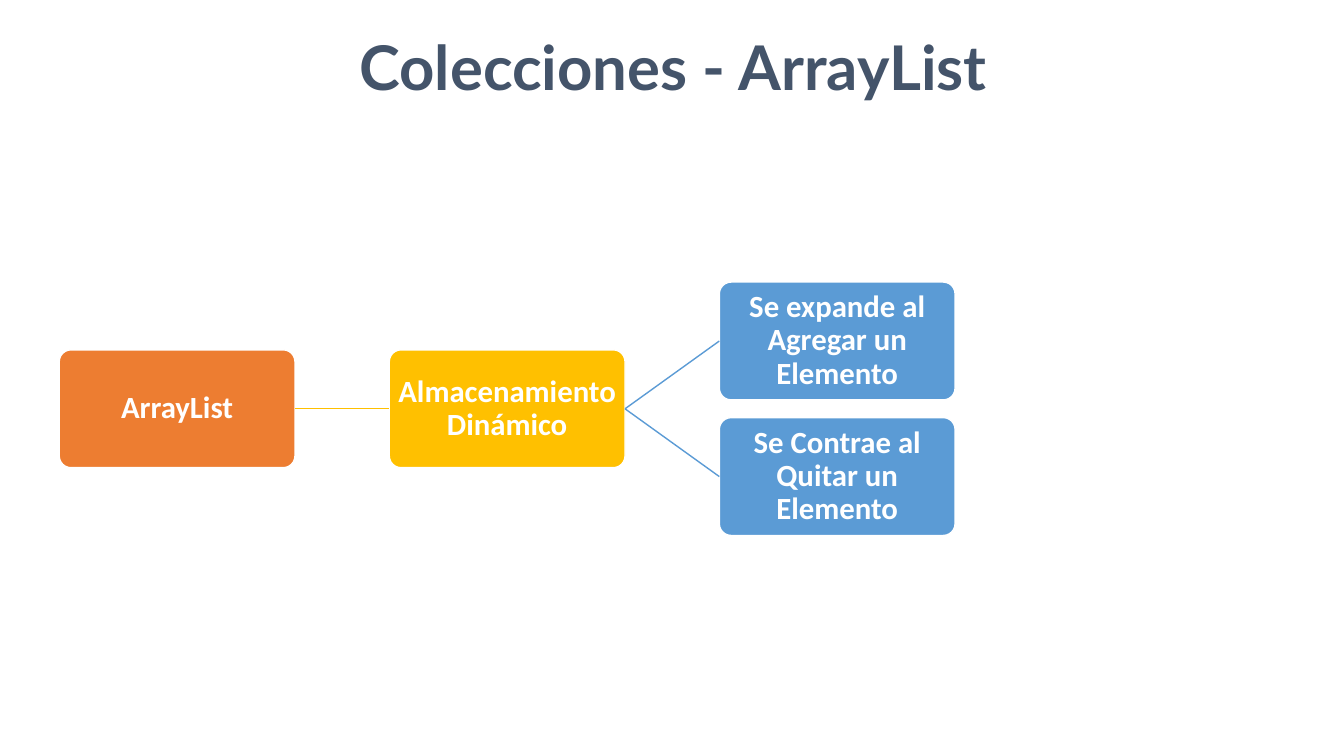
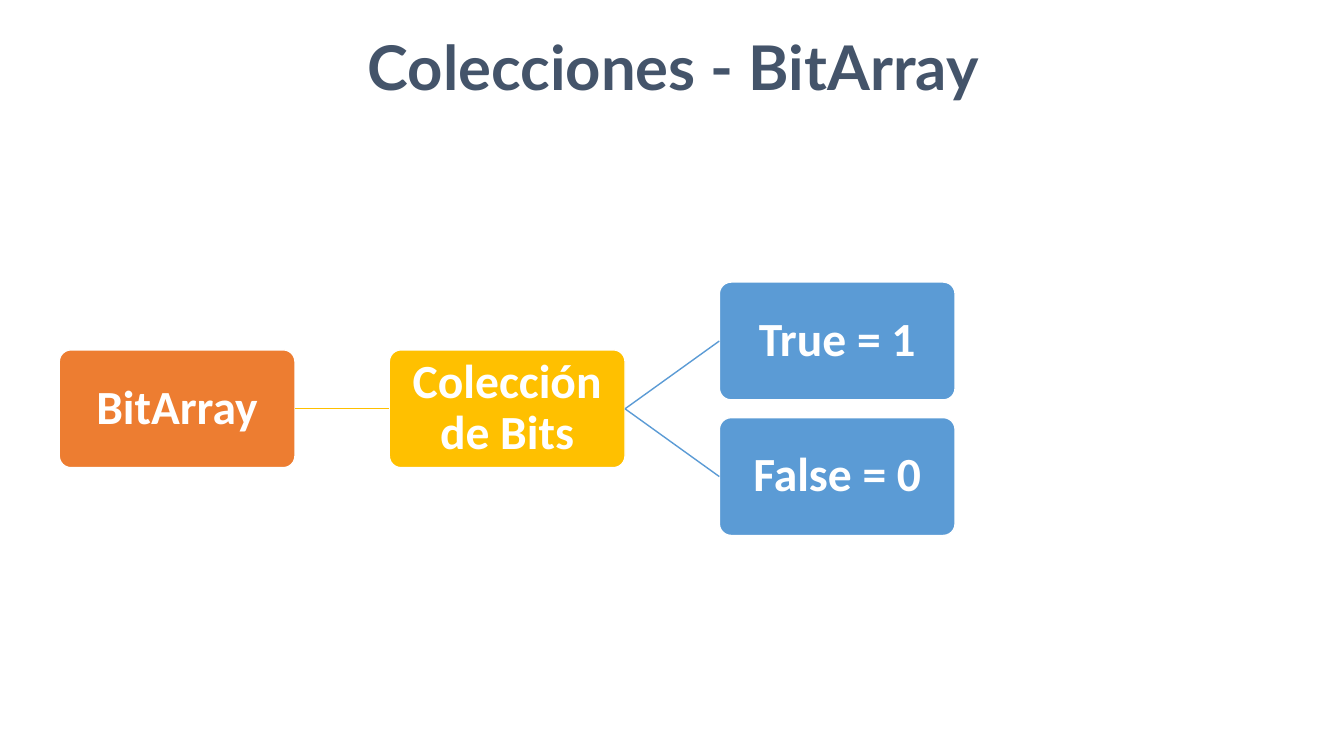
import pptx
import pptx.dml.color
import pptx.enum.shapes
import pptx.enum.text
import pptx.oxml.ns
import pptx.util
from dataclasses import dataclass
from lxml import etree

Pt = pptx.util.Pt
RGB = pptx.dml.color.RGBColor.from_string
MIDDLE = pptx.enum.text.MSO_ANCHOR.MIDDLE
CENTER = pptx.enum.text.PP_ALIGN.CENTER
RIGHT_SIDE, LEFT_SIDE = 3, 1


@dataclass(frozen=True)
class Theme:
    title_color: str = "44546A"
    level_colors: tuple = ("ED7D31", "FFC000", "5B9BD5")
    box_text: str = "FFFFFF"
    box_border: str = "FFFFFF"
    title_font: str = "Lato"
    box_font: str = "Calibri"
    title_size: float = 44
    sentence_size: float = 22
    short_size: float = 34
    line_width: float = 1


THEME = Theme()

# Tree geometry, in points: gaps follow from the box size
SLIDE_WIDTH, SLIDE_HEIGHT = 960, 540
TREE_LEFT, TREE_MIDDLE = 42.3, 292
BOX_WIDTH, BOX_HEIGHT = 168.4, 84.2
COLUMN_PITCH = BOX_WIDTH * 1.4
ROW_PITCH = BOX_HEIGHT * 1.15

# Title, levels of the tree from root to leaves, size of the box text
SLIDES = [
    ("Colecciones - ArrayList",
     [["ArrayList"],
      ["Almacenamiento Dinámico"],
      ["Se expande al Agregar un Elemento", "Se Contrae al Quitar un Elemento"]],
     THEME.sentence_size),
    ("Colecciones - BitArray",
     [["BitArray"], ["Colección de Bits"], ["True = 1", "False = 0"]],
     THEME.short_size),
]


def set_text(frame, text, font_name, size, color, margin_x, margin_y):
    """Write one centred bold paragraph."""
    frame.word_wrap = True
    frame.margin_left = frame.margin_right = Pt(margin_x)
    frame.margin_top = frame.margin_bottom = Pt(margin_y)
    paragraph = frame.paragraphs[0]
    paragraph.text = text
    paragraph.alignment = CENTER
    paragraph.font.name = font_name
    paragraph.font.size = Pt(size)
    paragraph.font.bold = True
    paragraph.font.color.rgb = RGB(color)
    return paragraph


def add_title(slide, text):
    title = slide.shapes.add_textbox(Pt(9.5), Pt(18.6), Pt(943), Pt(57))
    set_text(title.text_frame, text, THEME.title_font, THEME.title_size,
             THEME.title_color, 3.6, 1.8)


def add_box(slide, left, top, text, size, color):
    box = slide.shapes.add_shape(
        pptx.enum.shapes.MSO_SHAPE.ROUNDED_RECTANGLE,
        Pt(left), Pt(top), Pt(BOX_WIDTH), Pt(BOX_HEIGHT))
    box.adjustments[0] = 0.1
    box.shadow.inherit = False
    box.fill.solid()
    box.fill.fore_color.rgb = RGB(color)
    box.line.color.rgb = RGB(THEME.box_border)
    box.line.width = Pt(THEME.line_width)
    box.text_frame.vertical_anchor = MIDDLE
    paragraph = set_text(box.text_frame, text, THEME.box_font, size,
                         THEME.box_text, 1.2, 1.2)
    paragraph.line_spacing = 0.9
    return box


def add_branch(slide, parent, child, color):
    """Join the right side of the parent to the left side of the child."""
    branch = slide.shapes.add_connector(
        pptx.enum.shapes.MSO_CONNECTOR.STRAIGHT, 0, 0, 0, 0)
    branch.begin_connect(parent, RIGHT_SIDE)
    branch.end_connect(child, LEFT_SIDE)
    branch.line.color.rgb = RGB(color)
    branch.line.width = Pt(THEME.line_width)
    etree.SubElement(branch._element.spPr, pptx.oxml.ns.qn("a:effectLst"))


def add_tree(slide, levels, size):
    """Draw one column per level; each level hangs from the first box before it."""
    parent = None
    for column, (labels, color) in enumerate(zip(levels, THEME.level_colors)):
        left = TREE_LEFT + column * COLUMN_PITCH
        first_top = TREE_MIDDLE - ((len(labels) - 1) * ROW_PITCH + BOX_HEIGHT) / 2
        boxes = [add_box(slide, left, first_top + row * ROW_PITCH, label, size, color)
                 for row, label in enumerate(labels)]
        if parent is not None:
            for box in boxes:
                add_branch(slide, parent, box, color)
        parent = boxes[0]


def main():
    deck = pptx.Presentation()
    deck.slide_width, deck.slide_height = Pt(SLIDE_WIDTH), Pt(SLIDE_HEIGHT)
    blank = deck.slide_layouts[6]
    for title, levels, size in SLIDES:
        slide = deck.slides.add_slide(blank)
        add_title(slide, title)
        add_tree(slide, levels, size)
    deck.save("out.pptx")


if __name__ == "__main__":
    main()
